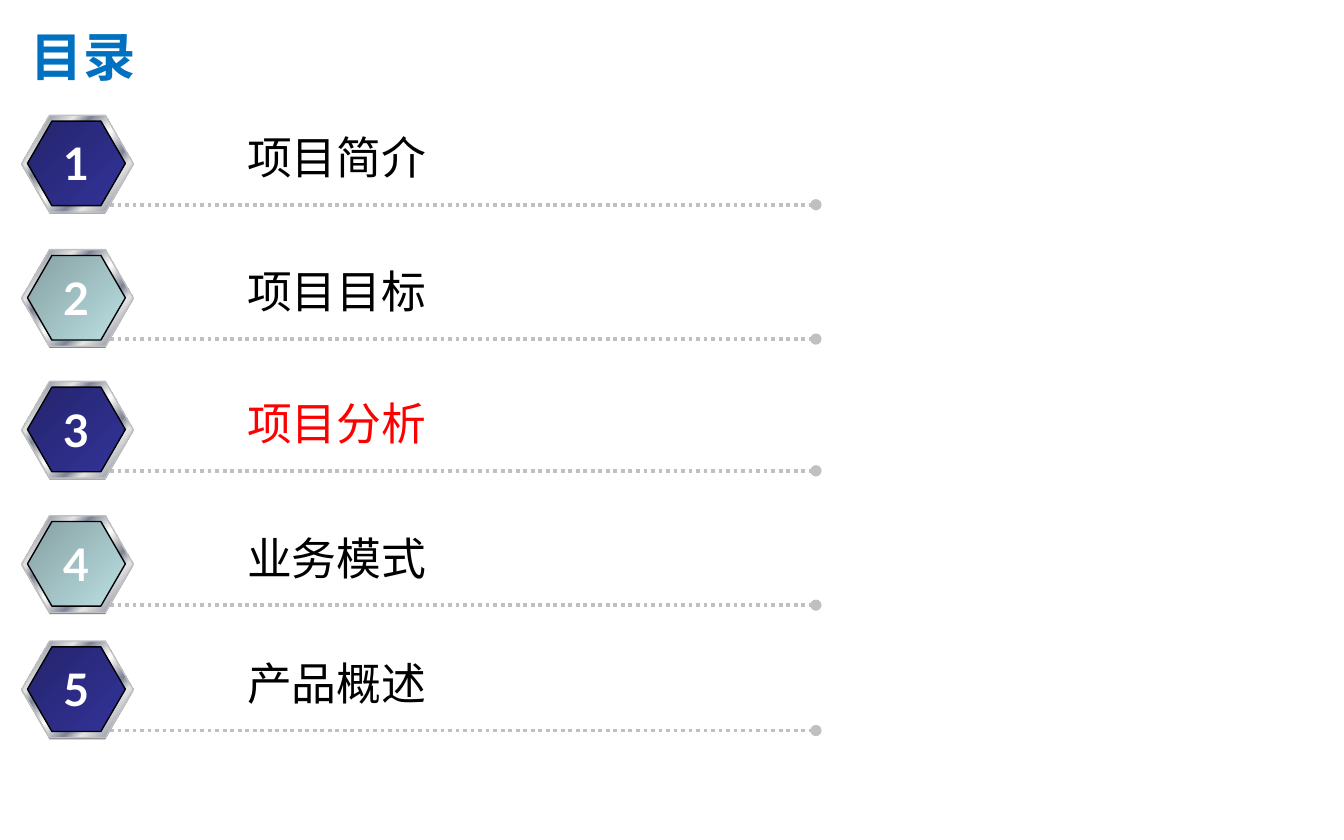
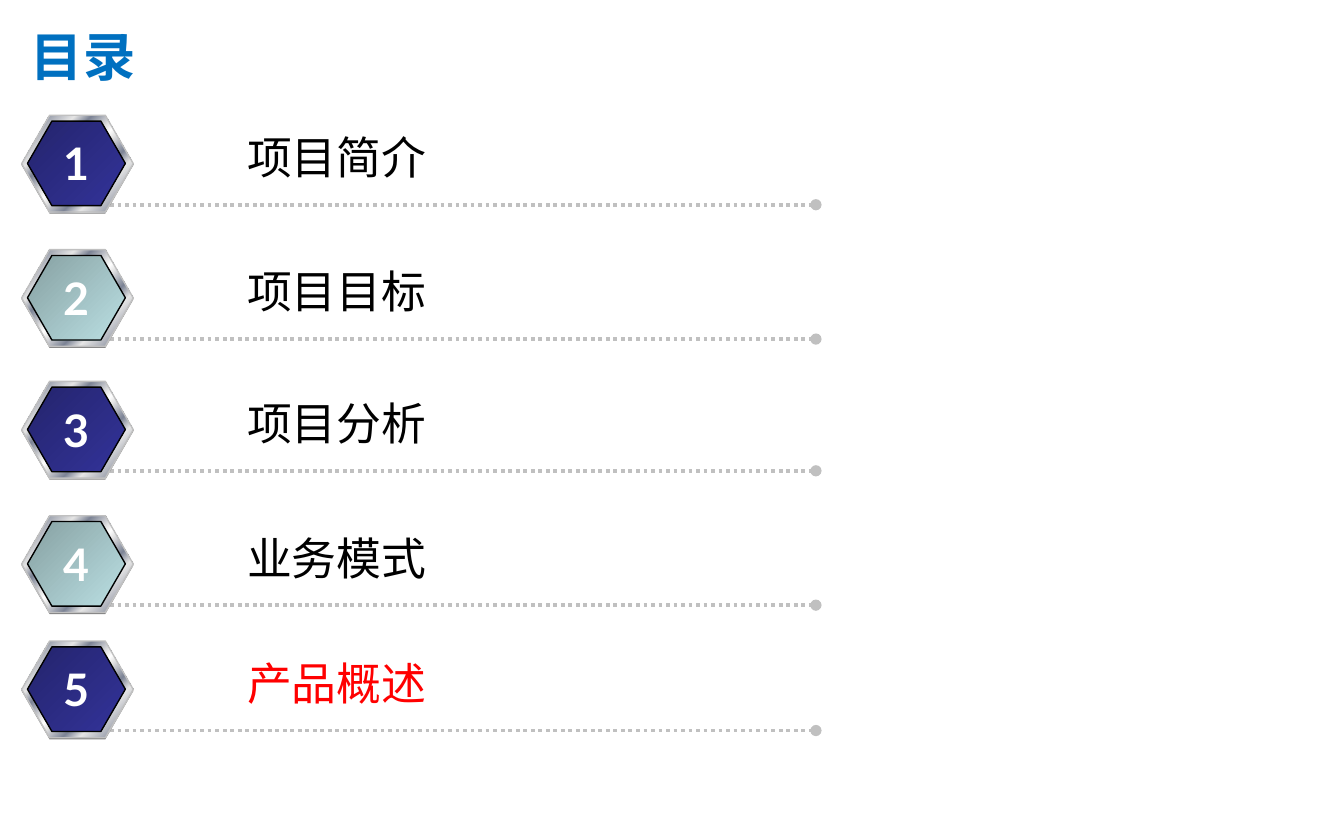
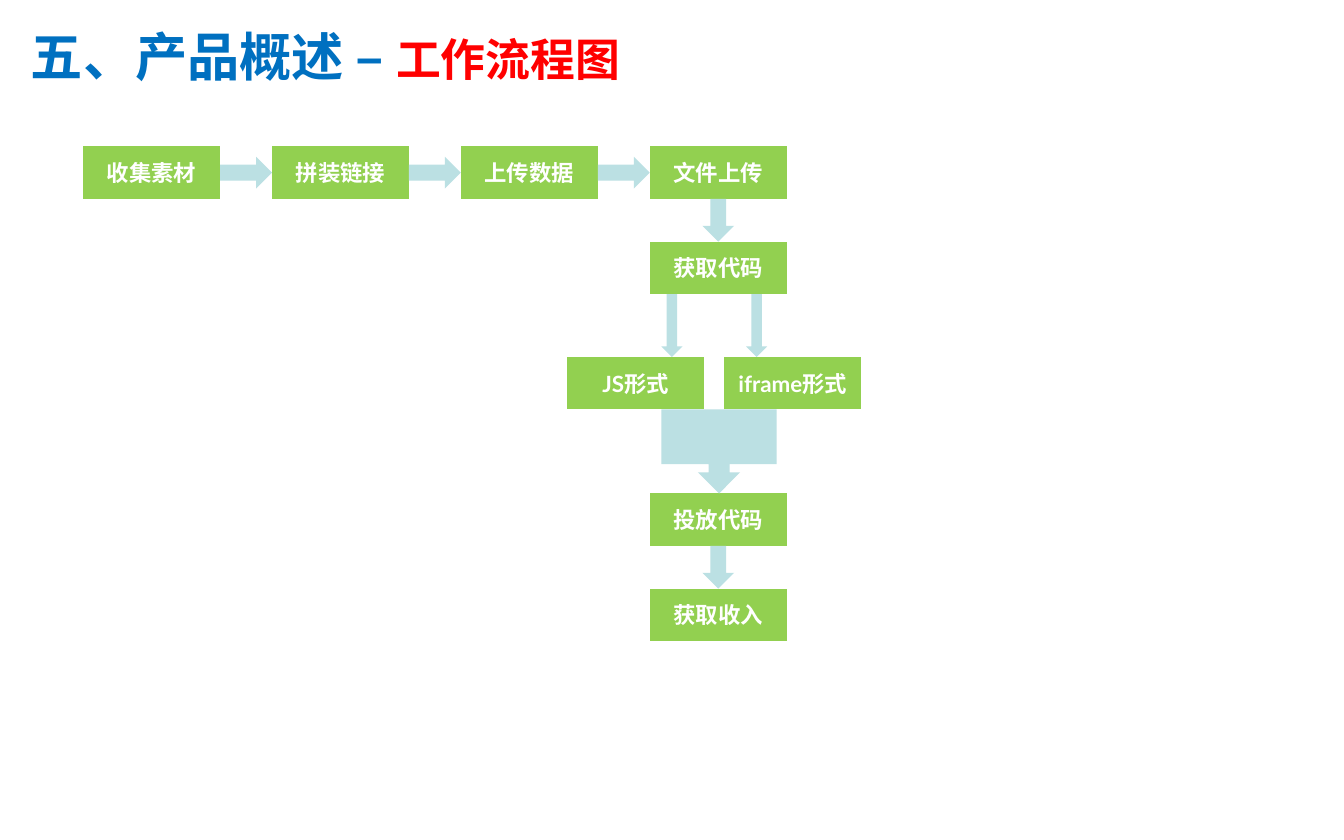
"""Build two agenda slides and a workflow diagram."""
from typing import NamedTuple, Sequence

from lxml.etree import SubElement
from pptx import Presentation
from pptx.dml.color import RGBColor
from pptx.enum.dml import MSO_LINE
from pptx.enum.shapes import MSO_CONNECTOR, MSO_SHAPE as SHAPE
from pptx.enum.text import MSO_ANCHOR as ANCHOR, MSO_AUTO_SIZE as AUTO, PP_ALIGN as ALIGN
from pptx.oxml.ns import qn
from pptx.util import Cm, Pt

FONT = "Lato"
BLUE = RGBColor(0x00, 0x70, 0xC0)
RED = RGBColor(0xFF, 0x00, 0x00)
BLACK = RGBColor(0x00, 0x00, 0x00)
WHITE = RGBColor(0xFF, 0xFF, 0xFF)
GRAY = RGBColor(0x80, 0x80, 0x80)
SILVER = RGBColor(0xC0, 0xC0, 0xC0)
PALE = RGBColor(0xE6, 0xE6, 0xE6)
STEEL = RGBColor(0x7D, 0x84, 0x96)
GREEN = RGBColor(0x92, 0xD0, 0x50)
DARK_NAVY = RGBColor(0x24, 0x24, 0x6D)
NAVY = RGBColor(0x33, 0x33, 0x99)
DARK_TEAL = RGBColor(0x86, 0xA0, 0xA2)
TEAL = RGBColor(0xBB, 0xE0, 0xE3)

Stops = Sequence[tuple[int, RGBColor]]
METAL: Stops = ((0, PALE), (8, STEEL), (26, PALE), (34, STEEL), (46, PALE), (50, WHITE),
                (54, PALE), (66, STEEL), (74, PALE), (93, STEEL), (100, PALE))
BADGES: Sequence[Stops] = (((0, DARK_NAVY), (100, NAVY)), ((0, DARK_TEAL), (100, TEAL)))


class Box(NamedTuple):
    """Position and size in centimetres."""
    x: float
    y: float
    w: float
    h: float

    def emu(self) -> list[Cm]:
        """Return the four lengths for python-pptx."""
        return [Cm(v) for v in self]


class AgendaItem(NamedTuple):
    """Agenda entry and the top of its badge."""
    text: str
    top: float


class Step(NamedTuple):
    """Workflow step and its top left corner."""
    text: str
    x: float
    y: float


class Arrow(NamedTuple):
    """Block arrow between workflow steps."""
    kind: SHAPE
    box: Box


AGENDA = (AgendaItem("项目简介", 2.18), AgendaItem("项目目标", 4.72), AgendaItem("项目分析", 7.21),
          AgendaItem("业务模式", 9.75), AgendaItem("产品概述", 12.12))

STEP_W, STEP_H = 2.59, 0.99
PITCH, LEFT, TOP = 3.57, 1.57, 2.77
MAIN_X = LEFT + 3 * PITCH
CODE_Y, FORM_Y, PLACE_Y, INCOME_Y = 4.57, 6.75, 9.33, 11.13
STEPS = tuple(Step(text, LEFT + i * PITCH, TOP)
              for i, text in enumerate(("收集素材", "拼装链接", "上传数据", "文件上传"))) + (
    Step("获取代码", MAIN_X, CODE_Y),
    Step("JS形式", 10.72, FORM_Y),
    Step("iframe形式", 13.69, FORM_Y),
    Step("投放代码", MAIN_X, PLACE_Y),
    Step("获取收入", MAIN_X, INCOME_Y),
)


def down_arrow(center: float, y: float, end: float, width: float) -> Arrow:
    """Describe a down arrow from the foot of a step at y to end."""
    foot = y + STEP_H
    return Arrow(SHAPE.DOWN_ARROW, Box(center - width / 2, foot, width, end - foot))


MAIN_CENTER = MAIN_X + STEP_W / 2
ARROWS = tuple(Arrow(SHAPE.RIGHT_ARROW, Box(LEFT + i * PITCH + STEP_W, TOP + STEP_H / 2 - 0.3,
                                            PITCH - STEP_W, 0.6)) for i in range(3)) + (
    down_arrow(MAIN_CENTER, TOP, CODE_Y, 0.6),
    down_arrow(12.7, CODE_Y, FORM_Y, 0.4),
    down_arrow(14.3, CODE_Y, FORM_Y, 0.4),
    Arrow(SHAPE.DOWN_ARROW_CALLOUT, Box(12.5, FORM_Y + STEP_H, 2.18, PLACE_Y - FORM_Y - STEP_H)),
    down_arrow(MAIN_CENTER, PLACE_Y, INCOME_Y, 0.6),
)


def add_text(tf, text: str, *, size: float, color: RGBColor, bold: bool = False,
             align: ALIGN = ALIGN.LEFT) -> None:
    """Append a formatted run to the first paragraph of a text frame."""
    p = tf.paragraphs[0]
    p.alignment = align
    r = p.add_run()
    r.text = text
    r.font.name, r.font.size, r.font.bold = FONT, Pt(size), bold
    r.font.color.rgb = color


def add_shape(shapes, kind: SHAPE, box: Box, fill: RGBColor | Stops,
              line: RGBColor | None = None):
    """Draw a preset shape with a solid or diagonal gradient fill."""
    sp = shapes.add_shape(kind, *box.emu())
    sp.shadow.inherit = False
    if isinstance(fill, RGBColor):
        sp.fill.solid()
        sp.fill.fore_color.rgb = fill
    else:
        sp.fill.gradient()
        sp.fill.gradient_angle = 315
        stops = sp.element.spPr.find(".//" + qn("a:gsLst"))
        for old in list(stops):
            stops.remove(old)
        for pos, color in fill:
            stop = SubElement(stops, qn("a:gs"), pos=str(pos * 1000))
            SubElement(stop, qn("a:srgbClr"), val=str(color))
    if line is None:
        sp.line.fill.background()
    else:
        sp.line.color.rgb = line
        sp.line.width = Pt(0.75)
    return sp


def add_hexagon(shapes, box: Box, fill: RGBColor | Stops, line: RGBColor | None = None) -> None:
    """Draw a regular hexagon."""
    sp = add_shape(shapes, SHAPE.HEXAGON, box, fill, line)
    sp.adjustments[0] = 0.289


def add_label(shapes, box: Box, text: str, **fmt) -> None:
    """Draw a text box that does not wrap."""
    tf = shapes.add_textbox(*box.emu()).text_frame
    tf.word_wrap = False
    tf.auto_size = AUTO.SHAPE_TO_FIT_TEXT
    add_text(tf, text, size=24, **fmt)


def add_leader(shapes, y: float) -> None:
    """Draw a dotted line that ends in a dot."""
    line = shapes.add_connector(MSO_CONNECTOR.STRAIGHT, Cm(2.08), Cm(y), Cm(15.42), Cm(y))
    line.line.color.rgb = SILVER
    line.line.width = Pt(2)
    line.line.dash_style = MSO_LINE.ROUND_DOT
    sppr = line.element.spPr
    SubElement(sppr.find(qn("a:ln")), qn("a:tailEnd"), type="oval")
    SubElement(sppr, qn("a:effectLst"))


def add_titled_slide(prs, title: str, width: float, accent: str = ""):
    """Add a slide with a blue title and an optional red ending."""
    s = prs.slides.add_slide(prs.slide_layouts[5])
    sp = s.shapes.title
    sp.left, sp.top, sp.width, sp.height = Box(0.33, 0.33, width, 1.45).emu()
    tf = sp.text_frame
    tf.word_wrap = True
    tf.auto_size = AUTO.SHAPE_TO_FIT_TEXT
    tf.vertical_anchor = ANCHOR.TOP
    add_text(tf, title, size=28, color=BLUE, bold=True)
    if accent:
        add_text(tf, accent, size=24, color=RED, bold=True)
    return s


def add_agenda_slide(prs, current: str) -> None:
    """Add the agenda with the current entry in red."""
    s = add_titled_slide(prs, "目录", 7.19)
    for i, (text, top) in enumerate(AGENDA):
        shapes = s.shapes.add_group_shape().shapes
        add_leader(shapes, top + 1.69)
        add_hexagon(shapes, Box(0.41, top + 0.03, 2.11, 1.83), GRAY)
        add_hexagon(shapes, Box(0.41, top, 2.11, 1.83), METAL, SILVER)
        add_hexagon(shapes, Box(0.52, top + 0.11, 1.85, 1.6), BADGES[i % 2], BLACK)
        add_label(shapes, Box(4.42, top + 0.15, 3.94, 1.3), text,
                  color=RED if text == current else BLACK)
        add_label(shapes, Box(0.94, top + 0.27, 1, 1.28), str(i + 1),
                  color=WHITE, bold=True, align=ALIGN.CENTER)


def add_workflow_slide(prs) -> None:
    """Add the workflow diagram."""
    s = add_titled_slide(prs, "五、产品概述 – ", 20.5, "工作流程图")
    for text, x, y in STEPS:
        sp = add_shape(s.shapes, SHAPE.FLOWCHART_PROCESS, Box(x, y, STEP_W, STEP_H), GREEN)
        tf = sp.text_frame
        tf.word_wrap = True
        tf.vertical_anchor = ANCHOR.MIDDLE
        add_text(tf, text, size=12, color=WHITE, bold=True, align=ALIGN.CENTER)
    for kind, box in ARROWS:
        add_shape(s.shapes, kind, box, TEAL)


def main() -> None:
    """Build and save the presentation."""
    prs = Presentation()
    prs.slide_width, prs.slide_height = Cm(25.4), Cm(15.88)
    for current in ("项目分析", "产品概述"):
        add_agenda_slide(prs, current)
    add_workflow_slide(prs)
    prs.save("out.pptx")


if __name__ == "__main__":
    main()
